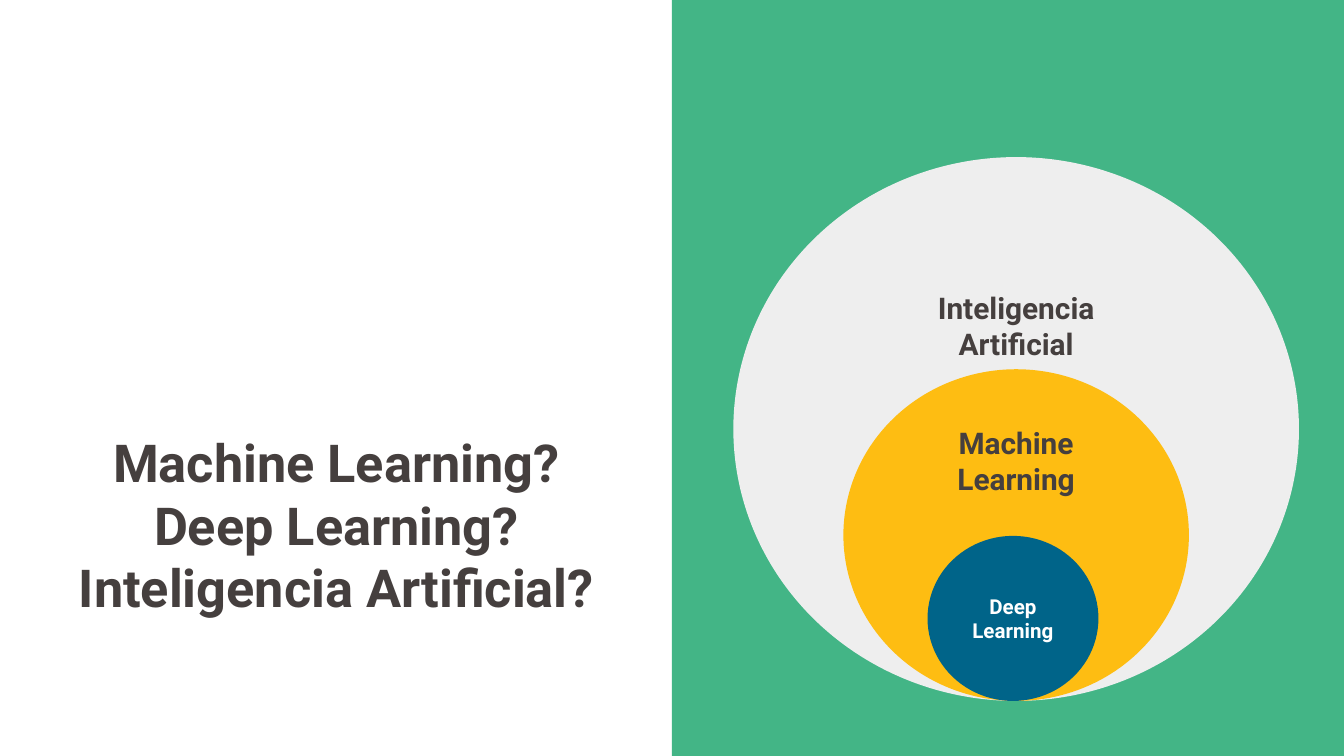
from pptx import Presentation
from pptx.dml.color import RGBColor
from pptx.enum.shapes import MSO_SHAPE
from pptx.enum.text import MSO_ANCHOR, PP_ALIGN
from pptx.util import Cm, Pt

RECT, OVAL = MSO_SHAPE.RECTANGLE, MSO_SHAPE.OVAL
TOP, MIDDLE, BOTTOM = MSO_ANCHOR.TOP, MSO_ANCHOR.MIDDLE, MSO_ANCHOR.BOTTOM
CENTER = PP_ALIGN.CENTER

FONT = "Roboto"
WHITE, DARK, GREEN = "FFFFFF", "453F3E", "43B586"
GRAY, YELLOW, BLUE = "EEEEEE", "FEBD12", "006489"
SLIDE_W, SLIDE_H = 25.4, 14.29


def rgb(color):
    return RGBColor.from_string(color)


def add_filled(shapes, kind, x, y, w, h, color):
    s = shapes.add_shape(kind, Cm(x), Cm(y), Cm(w), Cm(h))
    s.shadow.inherit = False
    s.fill.solid()
    s.fill.fore_color.rgb = rgb(color)
    s.line.fill.background()
    return s


def write(s, text, size, color, anchor):
    tf = s.text_frame
    tf.word_wrap = True
    tf.vertical_anchor = anchor
    p = tf.paragraphs[0]
    p.text = text
    p.alignment = CENTER
    p.font.name, p.font.size, p.font.bold = FONT, Pt(size), True
    p.font.color.rgb = rgb(color)
    return tf


def add_title(slide, x, y, w, h):
    s = slide.shapes.add_textbox(Cm(x), Cm(y), Cm(w), Cm(h))
    tf = write(s, "Machine Learning? Deep Learning? Inteligencia Artificial?",
               28, DARK, BOTTOM)
    tf.margin_left = tf.margin_right = Cm(0.25)
    tf.margin_top = tf.margin_bottom = Cm(0.25)


def add_nested_circles(slide, x, y, w, h):
    """Draw three ovals, one inside the other, resting on the bottom of the box."""
    shapes = slide.shapes.add_group_shape().shapes
    center, base = x + w / 2, y + h

    def add_oval(width, height, color, shift=0):
        return add_filled(shapes, OVAL, center - width / 2 + shift,
                          base - height, width, height, color)

    add_oval(w, h, GRAY)

    middle_h = 6.27
    middle = add_oval(6.53, middle_h, YELLOW)
    write(middle, "Machine Learning", 16, DARK, TOP)

    label_w, label_h = 5.69, 1.63
    label = shapes.add_textbox(Cm(center - label_w / 2),
                               Cm(base - middle_h - label_h),
                               Cm(label_w), Cm(label_h))
    tf = write(label, "Inteligencia Artificial", 16, DARK, TOP)
    tf.margin_left = tf.margin_right = Cm(0.5)

    inner = add_oval(3.23, 3.12, BLUE, shift=-0.06)
    write(inner, "Deep Learning", 11, WHITE, MIDDLE)


def main():
    prs = Presentation()
    prs.slide_width, prs.slide_height = Cm(SLIDE_W), Cm(SLIDE_H)
    slide = prs.slides.add_slide(prs.slide_layouts[6])
    slide.background.fill.solid()
    slide.background.fill.fore_color.rgb = rgb(WHITE)

    half = SLIDE_W / 2
    add_filled(slide.shapes, RECT, half, 0, half, SLIDE_H, GREEN)
    add_title(slide, 0.74, 0.66, 11.23, 11.28)
    add_nested_circles(slide, half + 1.16, 2.97, 10.69, 10.28)
    prs.save("out.pptx")


if __name__ == "__main__":
    main()
